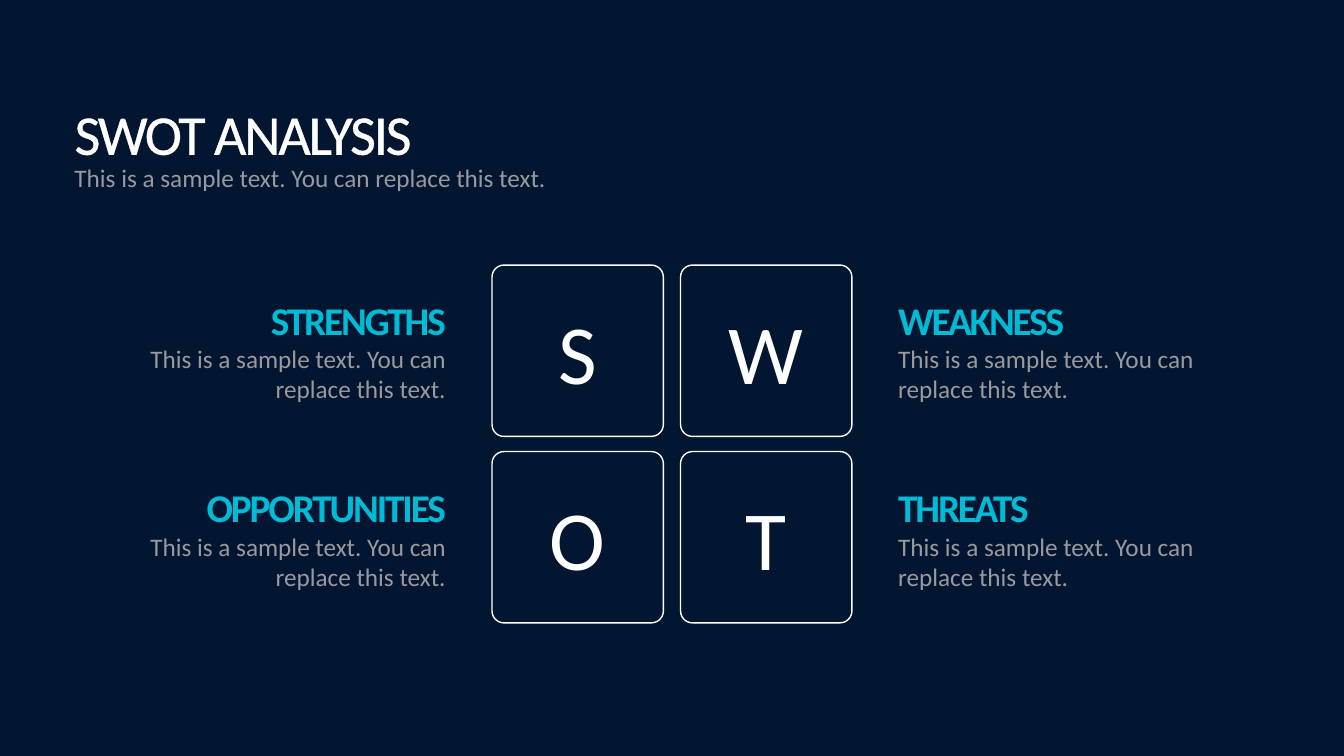
from lxml import etree
from pptx import Presentation
from pptx import util as u
from pptx.dml import color
from pptx.enum import shapes, text
from pptx.oxml import ns

COLORS = {"navy": "021631", "white": "FFFFFF", "cyan": "00BBD6", "gray": "9A999D"}
SAMPLE = "This is a sample text. You can replace this text."
LEFT, RIGHT, CENTER = text.PP_ALIGN.LEFT, text.PP_ALIGN.RIGHT, text.PP_ALIGN.CENTER

FORMATS = {
    "title": {"size": u.Pt(40), "bold": False},
    "sample": {"size": u.Pt(18), "bold": False},
    "heading": {"size": u.Pt(28), "bold": True},
    "letter": {"size": u.Pt(60), "bold": False},
}
# Letter, heading, column, row
QUADRANTS = [
    ("S", "STRENGTHS", 0, 0),
    ("W", "WEAKNESS", 1, 0),
    ("O", "OPPORTUNITIES", 0, 1),
    ("T", "THREATS", 1, 1),
]


def rgb(name):
    return color.RGBColor.from_string(COLORS[name])


def write(para, words, style, tint, align=LEFT, spacing=None):
    para.alignment = align
    span = para.add_run()
    span.text = words
    for key, value in {"name": "Calibri", **FORMATS[style]}.items():
        setattr(span.font, key, value)
    span.font.color.rgb = rgb(tint)
    if spacing is not None:
        span._r.get_or_add_rPr().set("spc", str(int(spacing * 100)))
    return span


def outline_text(span, tint, width):
    """Draw a thin line around the letters."""
    line = etree.Element(ns.qn("a:ln"), w=str(int(u.Pt(width))))
    fill = etree.SubElement(line, ns.qn("a:solidFill"))
    etree.SubElement(fill, ns.qn("a:srgbClr"), val=COLORS[tint])
    span._r.get_or_add_rPr().insert(0, line)


def set_frame(box, wrap):
    frame = box.text_frame
    settings = {
        "word_wrap": wrap,
        "auto_size": text.MSO_AUTO_SIZE.SHAPE_TO_FIT_TEXT,
        "vertical_anchor": text.MSO_ANCHOR.TOP,
    }
    for key, value in settings.items():
        setattr(frame, key, value)
    return frame


def add_header(page, left, top):
    # Subtitle
    box = page.shapes.add_textbox(left, top + u.Inches(0.63), u.Inches(4.99), u.Inches(0.4))
    write(set_frame(box, False).paragraphs[0], SAMPLE, "sample", "gray")

    # Title
    title = page.shapes.title
    place = {"left": left, "top": top, "width": u.Inches(3.56), "height": u.Inches(0.77)}
    for key, value in place.items():
        setattr(title, key, value)
    para = set_frame(title, False).paragraphs[0]
    span = write(para, "SWOT ANALYSIS", "title", "white", spacing=-1.5)
    outline_text(span, "white", 0.25)


def add_tiles(page, left, top, size, pitch_x, pitch_y):
    group = page.shapes.add_group_shape()
    for letter, _, column, row in QUADRANTS:
        tile = group.shapes.add_shape(
            shapes.MSO_SHAPE.ROUNDED_RECTANGLE,
            left + column * pitch_x, top + row * pitch_y, size, size)
        tile.adjustments[0] = 0.07
        tile.shadow.inherit = False
        tile.fill.solid()
        tile.fill.fore_color.rgb = rgb("navy")
        tile.line.color.rgb = rgb("white")
        tile.line.width = u.Pt(1)
        tile.text_frame.vertical_anchor = text.MSO_ANCHOR.MIDDLE
        write(tile.text_frame.paragraphs[0], letter, "letter", "white", CENTER)


def add_descriptions(page, left, top, pitch_x, pitch_y):
    for _, heading, column, row in QUADRANTS:
        box = page.shapes.add_textbox(
            left + column * pitch_x, top + row * pitch_y, u.Inches(3.59), u.Inches(1.18))
        frame = set_frame(box, True)
        align = (RIGHT, LEFT)[column]
        write(frame.paragraphs[0], heading, "heading", "cyan", align, -1.5)
        write(frame.add_paragraph(), SAMPLE, "sample", "gray", align)


def main():
    deck = Presentation()
    deck.slide_width, deck.slide_height = u.Inches(13.33), u.Inches(7.5)
    page = deck.slides.add_slide(deck.slide_layouts[5])
    page.background.fill.solid()
    page.background.fill.fore_color.rgb = rgb("navy")

    add_header(page, u.Inches(0.64), u.Inches(0.93))
    add_tiles(page, u.Inches(4.88), u.Inches(2.63), u.Inches(1.7),
              u.Inches(1.87), u.Inches(1.85))
    add_descriptions(page, u.Inches(0.93), u.Inches(2.89), u.Inches(7.88), u.Inches(1.86))
    deck.save("out.pptx")


if __name__ == "__main__":
    main()
